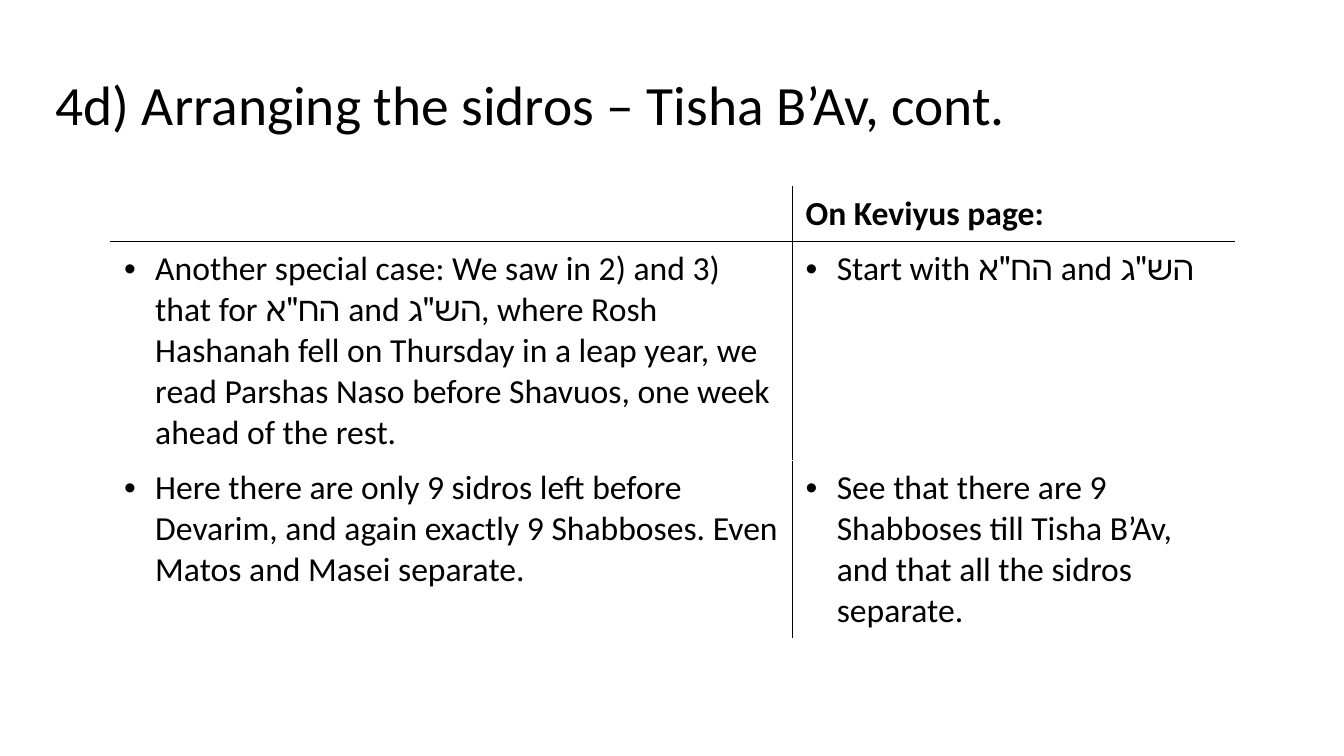
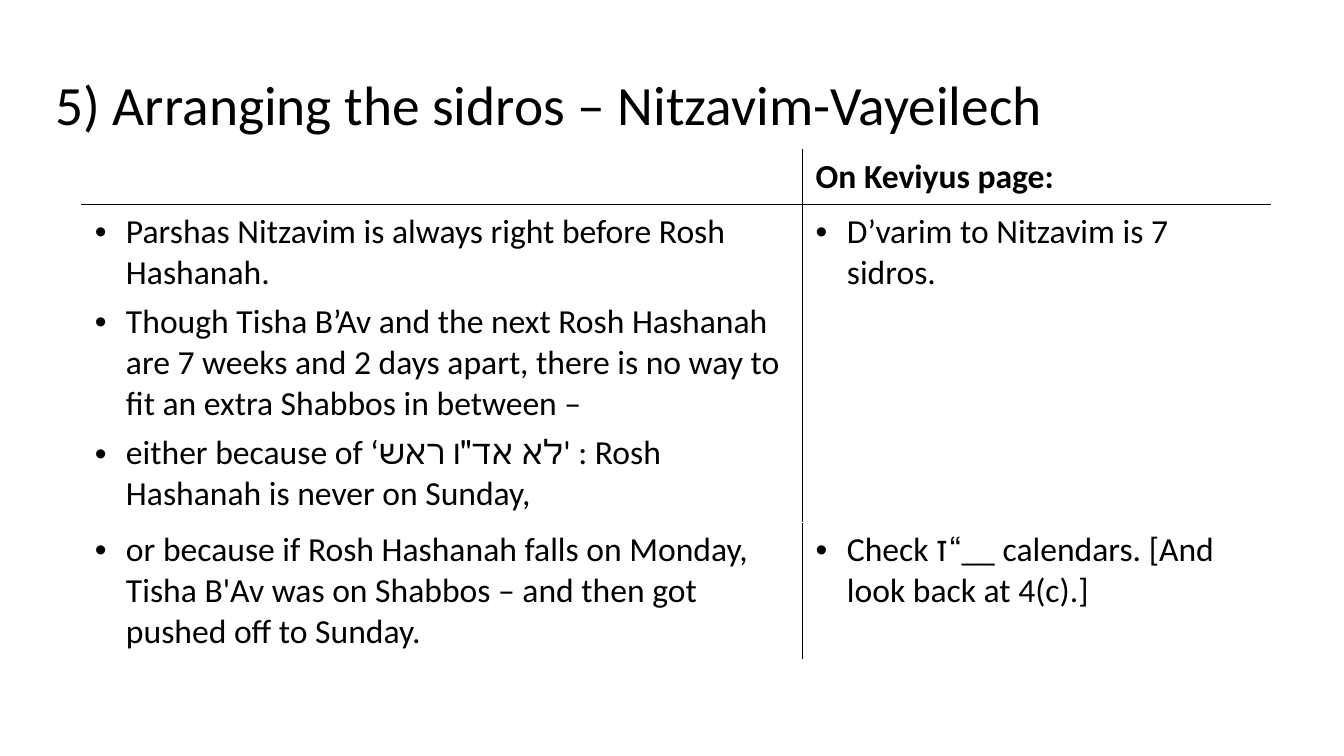
"""Build two slides on arranging the sidros, each with a ruled two-column table."""
from lxml.etree import SubElement
from pptx import Presentation
from pptx.dml.color import RGBColor
from pptx.enum.text import MSO_ANCHOR, MSO_AUTO_SIZE, PP_ALIGN
from pptx.oxml import parse_xml
from pptx.oxml.ns import nsdecls, qn
from pptx.util import Inches, Pt

BLACK, WHITE = "000000", "FFFFFF"
FONT = "Calibri"
TITLE_SIZE, TABLE_SIZE = 39.6, 24
INDENT = 0.31
HEADING = "On Keviyus page:"

PAGES = [
    {
        "title": "4d) Arranging the sidros – Tisha B’Av, cont.",
        "corner": (1.1, 1.85),
        "columns": (6.76, 4.38),
        "heights": (0.54, 2.13, 1.73),
        "rows": [
            (["Another special case: We saw in 2) and 3) that for "
              "\u05d4\u05d7\"\u05d0 and \u05d4\u05e9\"\u05d2, where Rosh Hashanah "
              "fell on Thursday in a leap year, we read Parshas Naso before "
              "Shavuos, one week ahead of the rest."],
             ["Start with \u05d4\u05d7\"\u05d0 and \u05d4\u05e9\"\u05d2"]),
            (["Here there are only 9 sidros left before Devarim, and again "
              "exactly 9 Shabboses. Even Matos and Masei separate."],
             ["See that there are 9 Shabboses till Tisha B’Av, and that all "
              "the sidros separate."]),
        ],
    },
    {
        "title": "5) Arranging the sidros – Nitzavim-Vayeilech",
        "corner": (0.81, 1.48),
        "columns": (7.15, 4.64),
        "heights": (0.54, 3.16, 1.33),
        "rows": [
            (["Parshas Nitzavim is always right before Rosh Hashanah.",
              "Though Tisha B’Av and the next Rosh Hashanah are 7 weeks and "
              "2 days apart, there is no way to fit an extra Shabbos in between –",
              "either because of ‘\u05dc\u05d0 \u05d0\u05d3\"\u05d5 "
              "\u05e8\u05d0\u05e9' : Rosh Hashanah is never on Sunday,"],
             ["D’varim to Nitzavim is 7 sidros."]),
            (["or because if Rosh Hashanah falls on Monday, Tisha B'Av was on "
              "Shabbos – and then got pushed off to Sunday."],
             ["Check \u05d6“__ calendars. [And look back at 4(c).]"]),
        ],
    },
]


def add_span(para, text, size, bold=False):
    span = para.add_run()
    span.text = text
    span.font.name = FONT
    span.font.size = Pt(size)
    span.font.bold = bold
    span.font.color.rgb = RGBColor.from_string(BLACK)


def set_borders(cell, colors):
    properties = cell._tc.get_or_add_tcPr()
    for position, (edge, color) in enumerate(colors.items()):
        properties.insert(position, parse_xml(
            f'<a:ln{edge} {nsdecls("a")} w="{Pt(1)}"><a:solidFill>'
            f'<a:srgbClr val="{color}"/></a:solidFill></a:ln{edge}>'))


deck = Presentation()
deck.slide_width, deck.slide_height = Inches(13.33), Inches(7.5)

for content in PAGES:
    page = deck.slides.add_slide(deck.slide_layouts[5])
    title = page.shapes.title
    title.left, title.top = Inches(0.45), Inches(0.65)
    title.width, title.height = Inches(12.42), Inches(0.84)
    frame = title.text_frame
    frame.auto_size = MSO_AUTO_SIZE.NONE
    frame.vertical_anchor = MSO_ANCHOR.MIDDLE
    frame.margin_left = frame.margin_right = Inches(0.1)
    frame.margin_top = frame.margin_bottom = Inches(0.1)
    heading = frame.paragraphs[0]
    heading.alignment = PP_ALIGN.LEFT
    heading.line_spacing = 0.9
    add_span(heading, content["title"], TITLE_SIZE)

    left, top = content["corner"]
    columns, heights = content["columns"], content["heights"]
    table = page.shapes.add_table(
        len(heights), len(columns), Inches(left), Inches(top),
        Inches(sum(columns)), Inches(sum(heights))).table
    table.first_row = table.horz_banding = False
    for column, width in zip(table.columns, columns):
        column.width = Inches(width)
    for row, height in zip(table.rows, heights):
        row.height = Inches(height)

    for row_index, texts in enumerate([([], [HEADING]), *content["rows"]]):
        for column_index, items in enumerate(texts):
            cell = table.cell(row_index, column_index)
            cell.margin_left = cell.margin_right = Inches(0.13)
            cell.margin_top = cell.margin_bottom = Inches(0.07)
            cell.fill.solid()
            cell.fill.fore_color.rgb = RGBColor.from_string(WHITE)
            set_borders(cell, {
                "L": BLACK if column_index == 1 else WHITE,
                "R": BLACK if column_index == 0 else WHITE,
                "T": BLACK if row_index == 1 else WHITE,
                "B": BLACK if row_index == 0 else WHITE,
            })
            for item_index, item in enumerate(items):
                frame = cell.text_frame
                para = frame.add_paragraph() if item_index else frame.paragraphs[0]
                add_span(para, item, TABLE_SIZE, bold=row_index == 0)
                if row_index:
                    para.space_before = Pt(6 if item_index else 0)
                    properties = para._p.get_or_add_pPr()
                    properties.set("marL", str(Inches(INDENT)))
                    properties.set("indent", str(-Inches(INDENT)))
                    SubElement(properties, qn("a:buFont"), typeface="Arial")
                    SubElement(properties, qn("a:buChar"), char="•")

deck.save("out.pptx")
